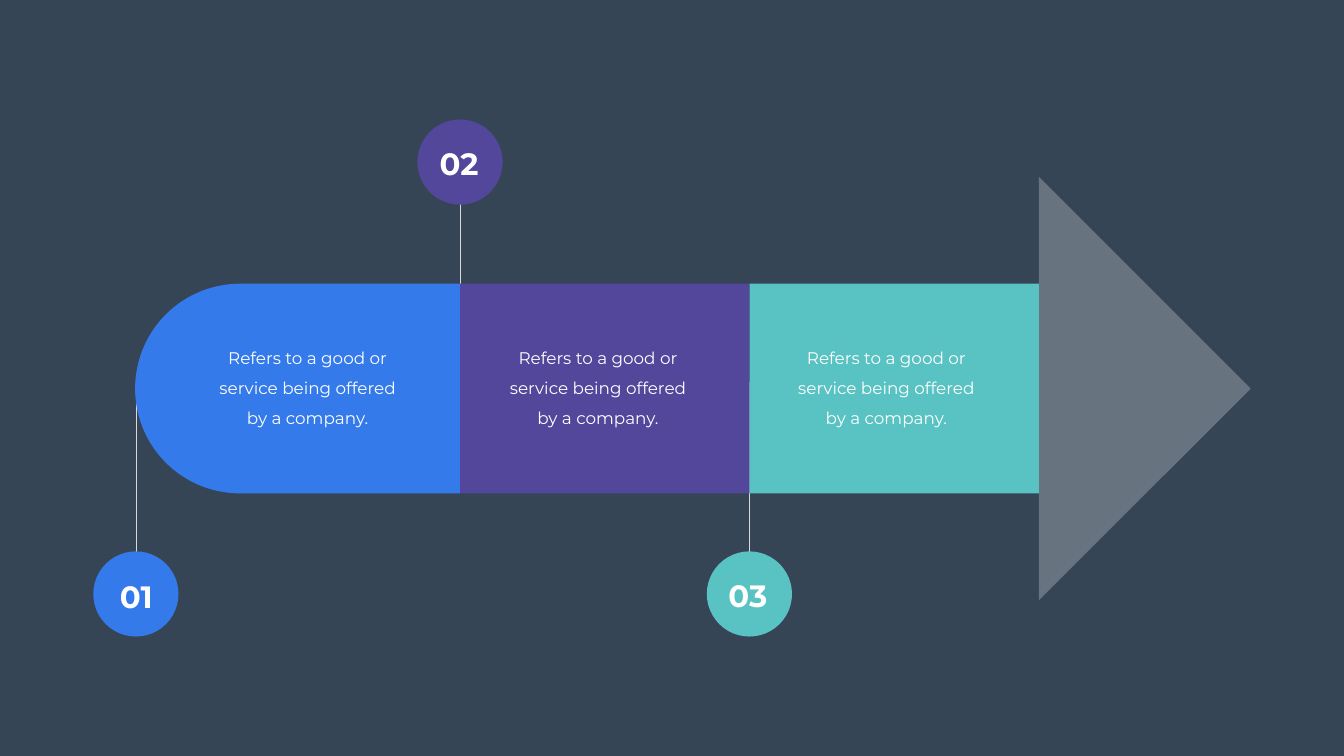
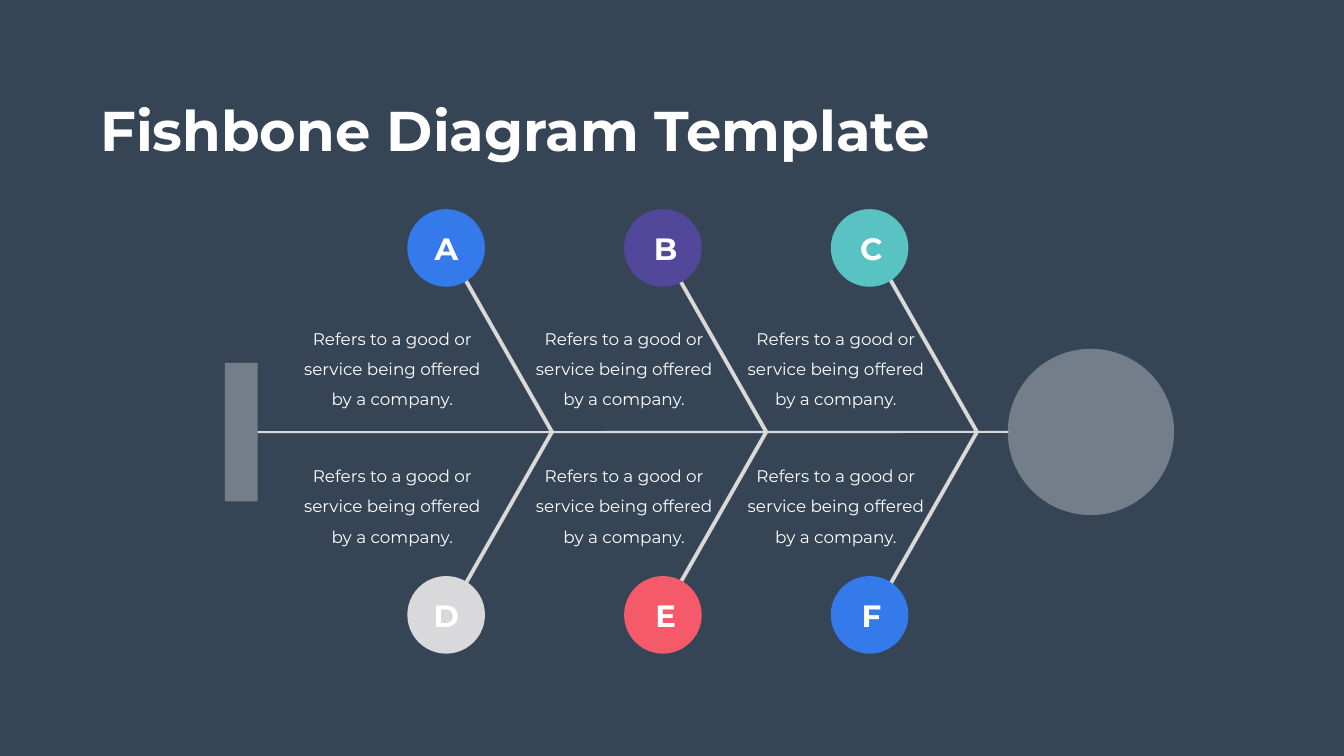
from math import cos, pi, sin

from lxml.etree import SubElement
from pptx import Presentation
from pptx.dml.color import RGBColor
from pptx.enum.shapes import MSO_CONNECTOR, MSO_SHAPE
from pptx.enum.text import MSO_AUTO_SIZE, PP_ALIGN
from pptx.oxml.ns import qn
from pptx.util import Inches, Pt

BACKGROUND = RGBColor(0x36, 0x45, 0x56)
WHITE = RGBColor(0xFF, 0xFF, 0xFF)
LINE_GRAY = RGBColor(0xD9, 0xD9, 0xD9)
LIGHT_GRAY = RGBColor(0xD9, 0xD8, 0xDA)
BLUE = RGBColor(0x34, 0x7A, 0xEB)
PURPLE = RGBColor(0x52, 0x47, 0x9B)
TEAL = RGBColor(0x58, 0xC3, 0xC2)
RED = RGBColor(0xF4, 0x5A, 0x69)
FONT = "Montserrat"
BODY = "Refers to a good or service being offered by a company."


class Deck:
    """Holds the shared style and the current slide."""

    def __init__(self):
        self.presentation = Presentation()
        self.presentation.slide_width = Inches(26.66)
        self.presentation.slide_height = Inches(15)
        self.slide = None

    def add_slide(self):
        self.slide = self.presentation.slides.add_slide(self.presentation.slide_layouts[6])
        fill = self.slide.background.fill
        fill.solid()
        fill.fore_color.rgb = BACKGROUND

    def paint(self, shape, color, opacity=100):
        shape.shadow.inherit = False
        shape.fill.solid()
        shape.fill.fore_color.rgb = color
        shape.line.fill.background()
        if opacity < 100:
            rgb = shape._element.spPr.find(qn("a:solidFill")).find(qn("a:srgbClr"))
            SubElement(rgb, qn("a:alpha")).set("val", str(opacity * 1000))
        return shape

    def shape(self, kind, left, top, width, height, color, opacity=100):
        shape = self.slide.shapes.add_shape(
            kind, Inches(left), Inches(top), Inches(width), Inches(height))
        return self.paint(shape, color, opacity)

    def outline(self, points, close=True):
        start, *rest = [(Inches(x), Inches(y)) for x, y in points]
        builder = self.slide.shapes.build_freeform(*start)
        builder.add_line_segments(rest, close=close)
        return builder.convert_to_shape()

    def polygon(self, points, color, opacity=100):
        return self.paint(self.outline(points), color, opacity)

    def polyline(self, points, width):
        shape = self.outline(points, close=False)
        shape.shadow.inherit = False
        shape.fill.background()
        shape.line.color.rgb = LINE_GRAY
        shape.line.width = Pt(width)

    def line(self, x1, y1, x2, y2, width):
        connector = self.slide.shapes.add_connector(
            MSO_CONNECTOR.STRAIGHT, Inches(x1), Inches(y1), Inches(x2), Inches(y2))
        connector.line.color.rgb = LINE_GRAY
        connector.line.width = Pt(width)
        SubElement(connector._element.spPr, qn("a:effectLst"))
        return connector

    def text(self, content, left, top, width, height, size,
             bold=False, align=PP_ALIGN.CENTER, wrap=True):
        box = self.slide.shapes.add_textbox(
            Inches(left), Inches(top), Inches(width), Inches(height))
        frame = box.text_frame
        frame.word_wrap = wrap
        frame.auto_size = MSO_AUTO_SIZE.SHAPE_TO_FIT_TEXT
        paragraph = frame.paragraphs[0]
        paragraph.text = content
        paragraph.alignment = align
        font = paragraph.font
        font.name, font.size, font.bold = FONT, Pt(size), bold
        font.color.rgb = WHITE
        return frame

    def title(self, content):
        self.text(content, 1.89, 1.85, 16.71, 1.45, 80, True, PP_ALIGN.LEFT, False)

    def body(self, left, top):
        frame = self.text(BODY, left, top, 4.14, 1.98, 24)
        frame.margin_left = frame.margin_right = Inches(0.24)
        frame.margin_top = frame.margin_bottom = Inches(0.12)
        frame.paragraphs[0].line_spacing = Pt(43)

    def badge(self, label, left, top, size, color, label_left, label_top):
        self.shape(MSO_SHAPE.OVAL, left, top, size, size, color)
        self.text(label, label_left, label_top, 1.59, 0.84, 44, True)


def build_arrow(deck):
    """Draw the three-step arrow."""
    deck.add_slide()
    top, bottom, middle, radius = 5.63, 9.79, 7.71, 2.08
    section_width = 5.74
    first, second, tip = (9.13 + section_width * step for step in range(3))
    for x, start, end in ((9.12, 7.43, 3.21), (14.87, 11.8, 7.58), (2.7, 11.79, 7.69)):
        deck.line(x, start, x, end, 0.57)

    deck.polygon([(tip, 3.51), (24.81, middle), (tip, 11.91)], WHITE, 25)
    angles = [pi / 2 + pi * step / 60 for step in range(61)]
    cap = [(4.76 + radius * cos(angle), middle + radius * sin(angle)) for angle in angles]
    deck.polygon([(first, bottom), *cap, (first, top)], BLUE)
    for left, color in ((first, PURPLE), (second, TEAL)):
        deck.shape(MSO_SHAPE.RECTANGLE, left, top, section_width, bottom - top, color)

    for left in (4.03, 9.79, 15.51):
        deck.body(left, 6.58)
    for label, left, badge_top, color, label_left, label_top in (
        ("01", 1.85, 10.94, BLUE, 1.91, 11.42),
        ("02", 8.28, 2.37, PURPLE, 8.31, 2.82),
        ("03", 14.02, 10.94, TEAL, 14.04, 11.39),
    ):
        deck.badge(label, left, badge_top, 1.69, color, label_left, label_top)


def build_fishbone(deck):
    """Draw the fishbone with three ribs and six causes."""
    deck.add_slide()
    spine_y = 8.57
    deck.shape(MSO_SHAPE.OVAL, 19.99, 6.92, 3.3, 3.3, WHITE, 31)
    tail = deck.shape(MSO_SHAPE.RECTANGLE, 4.46, 7.2, 0.65, 2.75, WHITE, 31)
    spine = deck.line(5.11, spine_y, 20, spine_y, 3)
    spine.begin_connect(tail, 3)

    ribs = (
        (8.85, 8.08, 8.06, 5.71, ("A", BLUE), ("D", LIGHT_GRAY)),
        (13.1, 12.38, 12.41, 10.31, ("B", PURPLE), ("E", RED)),
        (17.28, 16.48, 16.49, 14.51, ("C", TEAL), ("F", BLUE)),
    )
    for rib_left, badge_left, label_left, body_left, upper, lower in ribs:
        deck.polyline([(rib_left, 4.88), (rib_left + 2.1, spine_y), (rib_left, 12.26)], 5.5)
        for (label, color), badge_top, label_top, body_top in (
            (upper, 4.15, 4.5, 6.2), (lower, 11.43, 11.8, 8.93),
        ):
            deck.badge(label, badge_left, badge_top, 1.54, color, label_left, label_top)
            deck.body(body_left, body_top)
    deck.title("Fishbone Diagram Template")


def main():
    deck = Deck()
    build_arrow(deck)
    build_fishbone(deck)
    deck.presentation.save("out.pptx")


if __name__ == "__main__":
    main()
